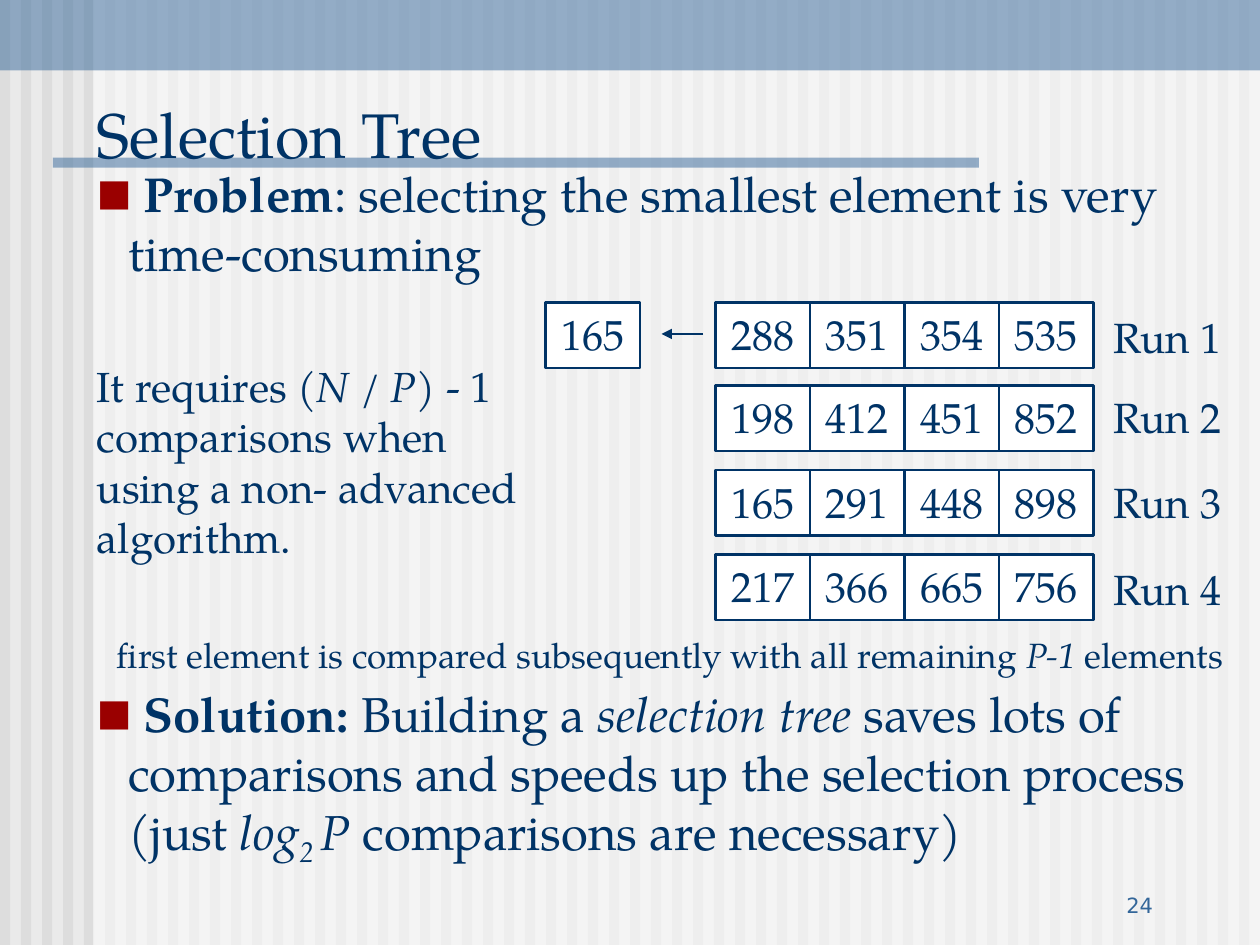
from dataclasses import dataclass
from typing import Optional

from lxml.etree import SubElement
from pptx import Presentation
from pptx.dml.color import RGBColor
from pptx.enum.shapes import MSO_CONNECTOR, MSO_SHAPE
from pptx.enum.text import MSO_ANCHOR, PP_ALIGN
from pptx.oxml.ns import qn
from pptx.util import Inches, Pt

COLORS = {
    "background": "EAEAEA",
    "stripe": "DDDDDD",
    "white": "FFFFFF",
    "band": "336699",
    "ink": "003366",
    "bullet": "9A0000",
}
SERIF = "TeX Gyre Pagella"
SANS = "DejaVu Sans"
STRIPE_COUNT = 60
CELL_WIDTH = 0.75
CELL_HEIGHT = 0.52
RUN_LEFT = 5.68


@dataclass(frozen=True)
class Span:
    text: str
    bold: bool = False
    italic: bool = False
    baseline: int = 0


@dataclass(frozen=True)
class Run:
    top: float
    label_top: float
    values: tuple[int, ...]


RUNS = (
    Run(2.4, 2.42, (288, 351, 354, 535)),
    Run(3.06, 3.06, (198, 412, 451, 852)),
    Run(3.73, 3.73, (165, 291, 448, 898)),
    Run(4.4, 4.42, (217, 366, 665, 756)),
)
PROBLEM = (
    Span(" "),
    Span("Problem", bold=True),
    Span(": selecting the smallest element is very time-consuming"),
)
SOLUTION = (
    Span(" Solution:", bold=True),
    Span(" Building a "),
    Span("selection tree ", italic=True),
    Span("saves lots of comparisons and speeds up the selection process (just "),
    Span("log", italic=True),
    Span("2 ", italic=True, baseline=-25000),
    Span("P ", italic=True),
    Span("comparisons are necessary)"),
)
COST = (
    (
        Span("It requires ("),
        Span("N ", italic=True),
        Span("/ "),
        Span("P", italic=True),
        Span(") - 1"),
    ),
    (Span("comparisons when"),),
    (Span("using a non- advanced"),),
    (Span("algorithm."),),
)
COMPARISON = (
    Span("first element is compared subsequently with all remaining "),
    Span("P-1 ", italic=True),
    Span("elements"),
)


def color(name: str) -> RGBColor:
    """Return the named palette colour."""
    return RGBColor.from_string(COLORS[name])


def add_bullet(para) -> None:
    """Give a paragraph a hanging square bullet."""
    properties = para._p.get_or_add_pPr()
    properties.set("marL", str(Inches(0.25)))
    properties.set("indent", str(Inches(-0.25)))
    bullet_color = SubElement(properties, qn("a:buClr"))
    SubElement(bullet_color, qn("a:srgbClr")).set("val", COLORS["bullet"])
    SubElement(properties, qn("a:buSzPct")).set("val", "75000")
    SubElement(properties, qn("a:buFont")).set("typeface", SANS)
    SubElement(properties, qn("a:buChar")).set("char", "■")


def write_text(frame, *paragraphs: tuple[Span, ...], size: float = 24, font: str = SERIF,
               ink: str = "ink", align: PP_ALIGN = PP_ALIGN.LEFT,
               anchor: MSO_ANCHOR = MSO_ANCHOR.TOP, wrap: bool = True,
               bullets: bool = False, spacing: Optional[tuple[float, ...]] = None) -> None:
    """Fill a text frame with formatted paragraphs."""
    frame.word_wrap = wrap
    frame.vertical_anchor = anchor
    for index, spans in enumerate(paragraphs):
        para = frame.add_paragraph() if index else frame.paragraphs[0]
        para.alignment = align
        if spacing:
            para.space_before = Pt(spacing[index])
        if bullets:
            add_bullet(para)
        for span in spans:
            piece = para.add_run()
            piece.text = span.text
            piece.font.name = font
            piece.font.size = Pt(size)
            piece.font.bold = span.bold
            piece.font.italic = span.italic
            piece.font.color.rgb = color(ink)
            if span.baseline:
                piece._r.get_or_add_rPr().set("baseline", str(span.baseline))


def add_text(page, left: float, top: float, width: float, height: float,
             *paragraphs: tuple[Span, ...], **style) -> None:
    """Place a text box on the page."""
    box = page.shapes.add_textbox(Inches(left), Inches(top), Inches(width), Inches(height))
    write_text(box.text_frame, *paragraphs, **style)


def add_block(page, left: float, top: float, width: float, height: float,
              fill: str, opacity: int = 100):
    """Place a plain rectangle without an outline."""
    block = page.shapes.add_shape(
        MSO_SHAPE.RECTANGLE, Inches(left), Inches(top), Inches(width), Inches(height))
    block.shadow.inherit = False
    block.fill.solid()
    block.fill.fore_color.rgb = color(fill)
    block.line.fill.background()
    if opacity < 100:
        fill_color = block._element.spPr.find(".//" + qn("a:srgbClr"))
        SubElement(fill_color, qn("a:alpha")).set("val", str(opacity * 1000))
    return block


def add_cell(page, left: float, top: float, value: int) -> None:
    """Place one outlined number cell."""
    cell = add_block(page, left, top, CELL_WIDTH, CELL_HEIGHT, "white")
    cell.line.color.rgb = color("ink")
    cell.line.width = Pt(1.5)
    write_text(cell.text_frame, (Span(str(value)),), align=PP_ALIGN.CENTER)


def add_arrow(page, start: float, end: float, height: float) -> None:
    """Draw a horizontal arrow with its head at the end."""
    arrow = page.shapes.add_connector(
        MSO_CONNECTOR.STRAIGHT, Inches(start), Inches(height), Inches(end), Inches(height))
    arrow.line.color.rgb = color("ink")
    arrow.line.width = Pt(1.5)
    SubElement(arrow.line._get_or_add_ln(), qn("a:tailEnd")).set("type", "triangle")
    SubElement(arrow._element.spPr, qn("a:effectLst"))


def add_backdrop(page) -> None:
    """Draw the striped background and the blue bands."""
    page.background.fill.solid()
    page.background.fill.fore_color.rgb = color("background")
    for index in range(STRIPE_COUNT):
        add_block(page, index / 6, 0, 0.08, 7.5, "stripe")
    add_block(page, 0.74, 0, 9.26, 7.5, "white", opacity=50)
    add_block(page, 0, 0, 10, 0.56, "band", opacity=50)
    add_block(page, 0.42, 1.25, 7.35, 0.08, "band", opacity=50)


def main() -> None:
    """Build and save the selection tree slide."""
    deck = Presentation()
    deck.slide_width, deck.slide_height = Inches(10), Inches(7.5)
    page = deck.slides.add_slide(deck.slide_layouts[6])
    add_backdrop(page)
    add_text(page, 7.17, 6.83, 2.08, 0.5, (Span("24"),), size=12, font=SANS, ink="band",
             align=PP_ALIGN.RIGHT, anchor=MSO_ANCHOR.BOTTOM)
    add_text(page, 0.67, 0.58, 9.33, 0.83, (Span("Selection Tree"),), size=36,
             anchor=MSO_ANCHOR.BOTTOM)
    add_text(page, 0.67, 1.25, 9.25, 5.75, PROBLEM, SOLUTION, size=28, bullets=True,
             spacing=(5.6, 230))
    for number, run in enumerate(RUNS, start=1):
        for column, value in enumerate(run.values):
            add_cell(page, RUN_LEFT + column * CELL_WIDTH, run.top, value)
        add_text(page, 8.74, run.label_top, 1.17, 0.5, (Span(f"Run {number}"),))
    add_cell(page, 4.33, RUNS[0].top, 165)
    add_arrow(page, 5.58, 5.25, 2.65)
    add_text(page, 0.67, 2.81, 3.58, 1.7, *COST)
    add_text(page, 0.83, 4.98, 9, 0.43, COMPARISON, size=20, wrap=False)
    deck.save("out.pptx")


if __name__ == "__main__":
    main()
